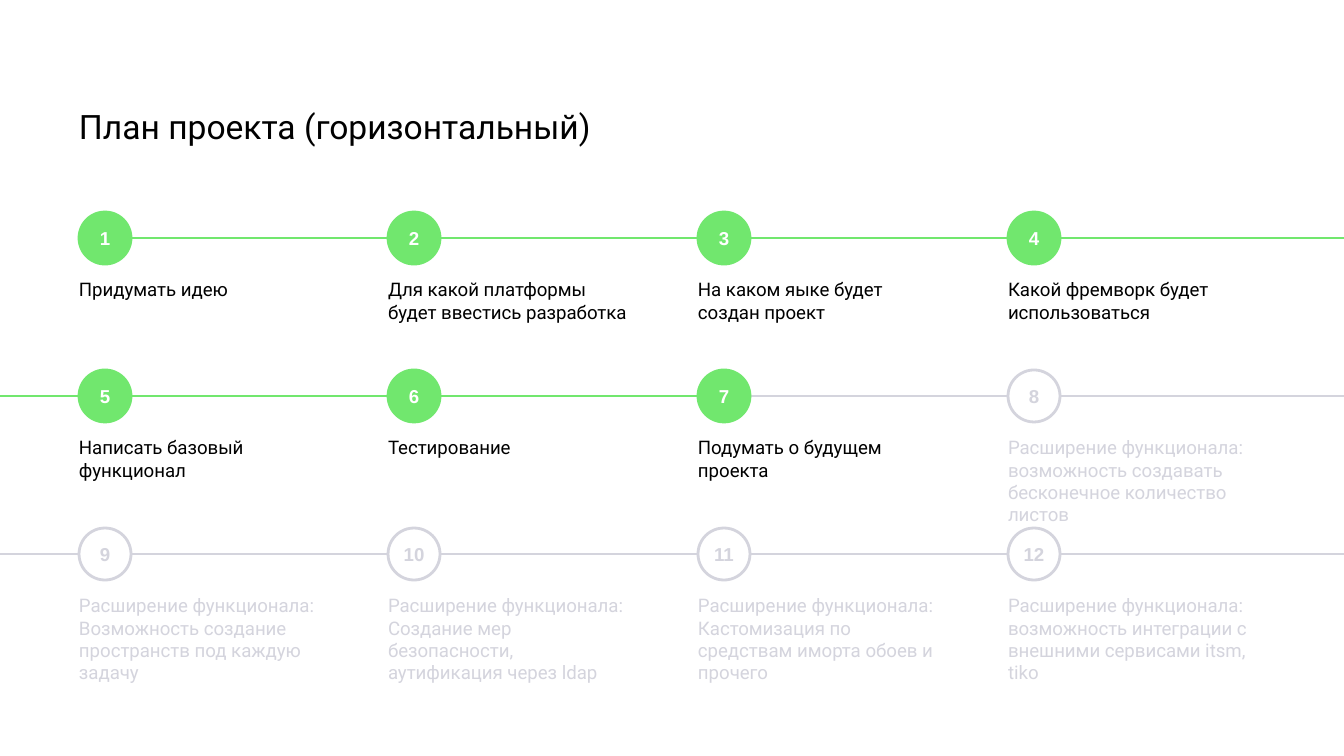
from dataclasses import dataclass

import pptx
import pptx.dml.color
import pptx.enum.shapes
import pptx.enum.text
import pptx.oxml.ns
import pptx.shapes.autoshape
import pptx.slide
import pptx.text.text
import pptx.util
from lxml import etree

RGBColor = pptx.dml.color.RGBColor
Align = pptx.enum.text.PP_ALIGN
Anchor = pptx.enum.text.MSO_ANCHOR

GREEN = RGBColor(0x71, 0xE7, 0x6E)
GREY = RGBColor(0xD4, 0xD4, 0xDD)
BLACK = RGBColor(0x00, 0x00, 0x00)
WHITE = RGBColor(0xFF, 0xFF, 0xFF)

# All lengths are in px, 1344 px across a 10 inch slide
PX_PER_SLIDE = 1344
EMU_PER_PX = 9144000 / PX_PER_SLIDE
SLIDE_W, SLIDE_H = PX_PER_SLIDE, 756

MARGIN = 79
FIRST_ROW = 212
ROW_PITCH = 158
COLUMNS = 4
COLUMN_SPAN = 929  # from the first column to the last
CIRCLE = 52
CAPTION_DROP = 53
CAPTION_W, CAPTION_H = 257, 50
CAPTION_INSET = 13
LINE_WIDTH = pptx.util.Pt(1.5)


@dataclass(frozen=True)
class Step:
    number: int
    caption: str
    done: bool

    @property
    def column(self) -> int:
        return (self.number - 1) % COLUMNS

    @property
    def left(self) -> int:
        return MARGIN + self.column * COLUMN_SPAN // (COLUMNS - 1)

    @property
    def top(self) -> int:
        return FIRST_ROW + (self.number - 1) // COLUMNS * ROW_PITCH

    @property
    def color(self) -> RGBColor:
        return GREEN if self.done else GREY


DONE_COUNT = 7
CAPTIONS = [
    "Придумать идею",
    "Для какой платформы будет ввестись разработка",
    "На каком яыке будет создан проект",
    "Какой фремворк будет использоваться",
    "Написать базовый функционал",
    "Тестирование",
    "Подумать о будущем проекта",
    "Расширение функционала: возможность создавать бесконечное количество листов",
    "Расширение функционала: Возможность создание пространств под каждую задачу",
    "Расширение функционала: Создание мер безопасности, аутификация через ldap",
    "Расширение функционала: Кастомизация по средствам иморта обоев и прочего",
    "Расширение функционала: возможность интеграции с внешними сервисами itsm, tiko",
]
STEPS = [Step(n, caption, n <= DONE_COUNT) for n, caption in enumerate(CAPTIONS, 1)]


def px(length: int) -> pptx.util.Emu:
    return pptx.util.Emu(round(length * EMU_PER_PX))


def write_text(frame: pptx.text.text.TextFrame, text: str, *, color: RGBColor,
               font: str = "Roboto", size: int = 10, bold: bool = False,
               align: Align = Align.LEFT, anchor: Anchor = Anchor.TOP,
               insets: tuple[int, int, int, int] = (0, 0, 0, 0)) -> None:
    """Fill a text frame; insets are left, top, right, bottom."""
    frame.word_wrap = True
    frame.auto_size = pptx.enum.text.MSO_AUTO_SIZE.NONE
    frame.vertical_anchor = anchor
    (frame.margin_left, frame.margin_top,
     frame.margin_right, frame.margin_bottom) = map(px, insets)
    paragraph = frame.paragraphs[0]
    paragraph.alignment = align
    paragraph.line_spacing = 1.0
    run = paragraph.add_run()
    run.text = text
    run.font.name = font
    run.font.size = pptx.util.Pt(size)
    run.font.bold = bold
    run.font.color.rgb = color


def draw_line(slide: pptx.slide.Slide, start: int, end: int, y: int,
              color: RGBColor) -> None:
    line = slide.shapes.add_connector(
        pptx.enum.shapes.MSO_CONNECTOR.STRAIGHT, px(start), px(y), px(end), px(y))
    line.line.color.rgb = color
    line.line.width = LINE_WIDTH
    etree.SubElement(line._element.spPr, pptx.oxml.ns.qn("a:effectLst"))


def draw_track(slide: pptx.slide.Slide, step: Step, following: Step) -> None:
    """Draw the line out of a step, and the lead-in from the slide edge."""
    y = step.top + CIRCLE // 2
    if step.column == 0 and step.number > 1:
        draw_line(slide, 0, step.left, y, step.color)
    end = SLIDE_W if step.column == COLUMNS - 1 else following.left
    draw_line(slide, step.left + CIRCLE, end, y, following.color)


def draw_circle(slide: pptx.slide.Slide, step: Step) -> None:
    circle = slide.shapes.add_shape(
        pptx.enum.shapes.MSO_SHAPE.OVAL,
        px(step.left), px(step.top), px(CIRCLE), px(CIRCLE))
    circle.shadow.inherit = False
    circle.fill.solid()
    circle.fill.fore_color.rgb = GREEN if step.done else WHITE
    circle.line.color.rgb = step.color
    circle.line.width = LINE_WIDTH
    write_text(circle.text_frame, str(step.number), font="Arial", bold=True,
               color=WHITE if step.done else GREY,
               align=Align.CENTER, anchor=Anchor.MIDDLE)


def draw_caption(slide: pptx.slide.Slide, step: Step) -> None:
    caption = slide.shapes.add_textbox(
        px(step.left), px(step.top + CAPTION_DROP), px(CAPTION_W), px(CAPTION_H))
    write_text(caption.text_frame, step.caption, color=BLACK if step.done else GREY,
               insets=(0, CAPTION_INSET, CAPTION_INSET, CAPTION_INSET))


def main() -> None:
    deck = pptx.Presentation()
    deck.slide_width, deck.slide_height = px(SLIDE_W), px(SLIDE_H)
    slide = deck.slides.add_slide(deck.slide_layouts.get_by_name("Title Only"))

    # Title
    title = slide.shapes.title
    title.left, title.top = px(MARGIN), px(106)
    title.width, title.height = px(1186), px(47)
    write_text(title.text_frame, "План проекта (горизонтальный)", size=18, color=BLACK)

    # Timeline under the circles; the last step leads on in its own colour
    for step, following in zip(STEPS, STEPS[1:] + STEPS[-1:]):
        draw_track(slide, step, following)

    # Numbered steps
    for step in STEPS:
        draw_circle(slide, step)
        draw_caption(slide, step)

    deck.save("out.pptx")


if __name__ == "__main__":
    main()
